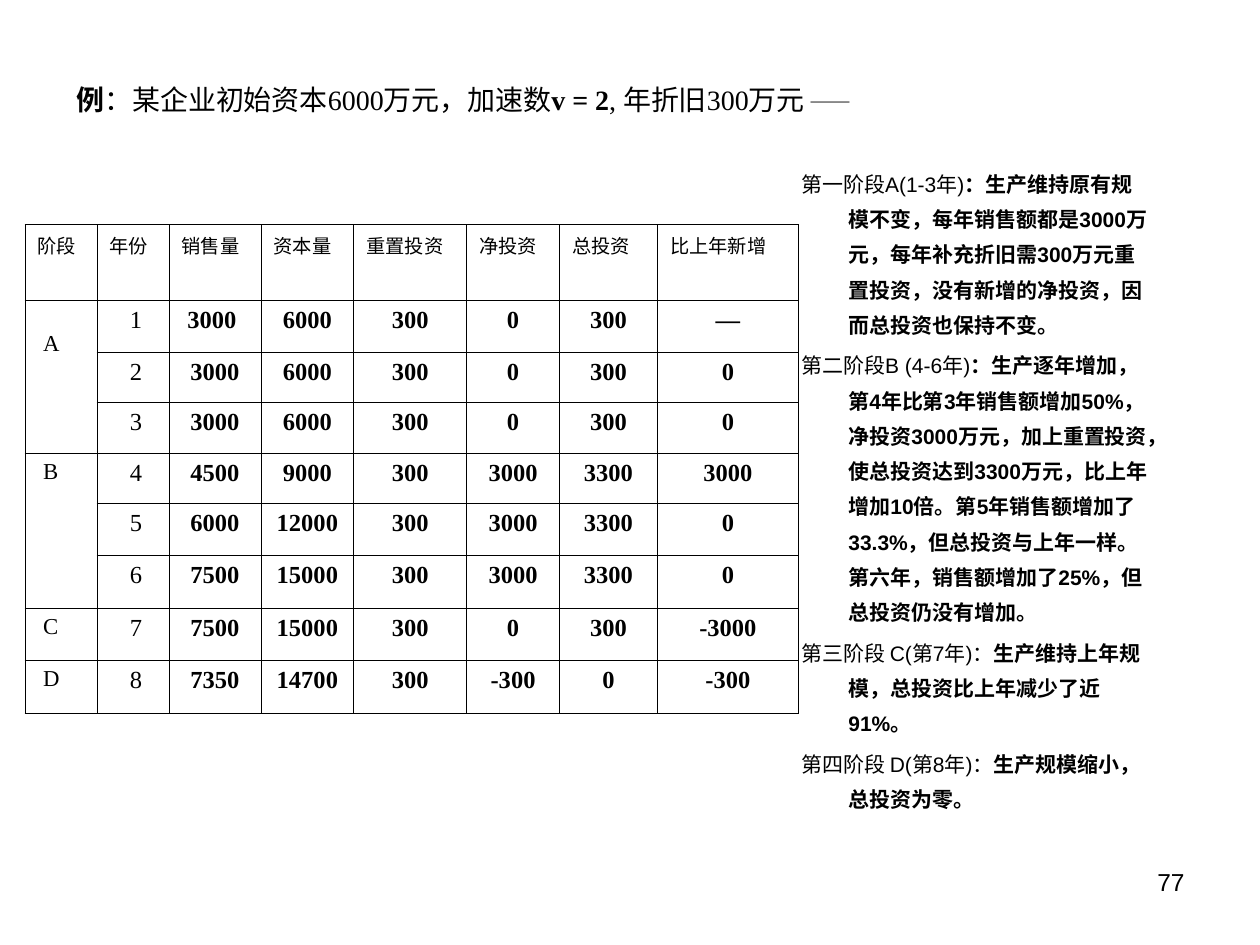
import pptx
import pptx.util
import pptx.dml.color
import pptx.enum.text
import lxml.etree

Pt = pptx.util.Pt
Align = pptx.enum.text.PP_ALIGN
Anchor = pptx.enum.text.MSO_ANCHOR
BLACK = pptx.dml.color.RGBColor(0, 0, 0)
SERIF, SANS = "Times New Roman", "Arial"

TITLE = [
    ("例", True, 16),
    ("：某企业初始资本6000万元，加速数", False, 16),
    ("v = 2", True, 16),
    (", 年折旧300万元", False, 16),
    (" ——", False, 12),
]
NOTES = [
    ("第一阶段A(1-3年)",
     "：生产维持原有规模不变，每年销售额都是3000万元，每年补充折旧需300万元重置投资，"
     "没有新增的净投资，因而总投资也保持不变。"),
    ("第二阶段B (4-6年)",
     "：生产逐年增加，第4年比第3年销售额增加50%，净投资3000万元，加上重置投资，"
     "使总投资达到3300万元，比上年增加10倍。第5年销售额增加了33.3%，但总投资与上年一样。"
     "第六年，销售额增加了25%，但总投资仍没有增加。"),
    ("第三阶段 C(第7年)：", "生产维持上年规模，总投资比上年减少了近91%。"),
    ("第四阶段 D(第8年)：", "生产规模缩小，总投资为零。"),
]
HEADS = ["阶段", "年份", "销售量", "资本量", "重置投资", "净投资", "总投资", "比上年新增"]
ROWS = [
    ("A", 1, 3000, 6000, 300, 0, 300, "—"),
    ("", 2, 3000, 6000, 300, 0, 300, 0),
    ("", 3, 3000, 6000, 300, 0, 300, 0),
    ("B", 4, 4500, 9000, 300, 3000, 3300, 3000),
    ("", 5, 6000, 12000, 300, 3000, 3300, 0),
    ("", 6, 7500, 15000, 300, 3000, 3300, 0),
    ("C", 7, 7500, 15000, 300, 0, 300, -3000),
    ("D", 8, 7350, 14700, 300, -300, 0, -300),
]
WIDTHS = [41.2, 41.2, 52.6, 53, 64.6, 53, 56, 80.6]
HEIGHTS = [43.4, 29.8, 28.6, 29, 28.8, 29.8, 30, 29.8, 30.2]
SPANS = [(1, 3), (4, 6)]


def style(font, name, size, bold=None):
    font.name = name
    font.size = Pt(size)
    font.bold = bold
    font.color.rgb = BLACK


def add_box(slide, *rect):
    box = slide.shapes.add_textbox(*map(Pt, rect))
    box.text_frame.word_wrap = True
    return box.text_frame


def add_run(para, text, bold):
    run = para.add_run()
    run.text = text
    run.font.bold = bold
    return run


def add_edges(cell):
    props = cell._tc.get_or_add_tcPr()
    space = "{" + props.nsmap["a"] + "}"
    for at, side in enumerate(("lnL", "lnR", "lnT", "lnB")):
        line = lxml.etree.Element(space + side, w=str(Pt(0.45)))
        fill = lxml.etree.SubElement(line, space + "solidFill")
        lxml.etree.SubElement(fill, space + "srgbClr", val=str(BLACK))
        props.insert(at, line)


def add_table(slide):
    frame = slide.shapes.add_table(
        len(HEIGHTS), len(WIDTHS), Pt(14.2), Pt(128.2),
        Pt(sum(WIDTHS)), Pt(sum(HEIGHTS)))
    table = frame.table
    table.first_row = table.horz_banding = False
    for col, width in zip(table.columns, WIDTHS):
        col.width = Pt(width)
    for row, height in zip(table.rows, HEIGHTS):
        row.height = Pt(height)
    for top, end in SPANS:
        table.cell(top, 0).merge(table.cell(end, 0))
    for r, row in enumerate([HEADS] + ROWS):
        for c, value in enumerate(row):
            cell = table.cell(r, c)
            cell.fill.background()
            add_edges(cell)
            para = cell.text_frame.paragraphs[0]
            para.text = str(value)
            if r == 0:
                style(para.font, SERIF, 11, False)
            elif c == 0:
                style(para.font, SERIF, 13, False)
                cell.margin_left = Pt(10.4)
            else:
                style(para.font, SERIF, 14, c > 1)
                para.alignment = Align.CENTER
                if c == 1:
                    cell.margin_left = Pt(10.7)
    table.cell(1, 0).margin_top = Pt(18)
    table.cell(1, 2).margin_right = Pt(10.7)


def main():
    deck = pptx.Presentation()
    deck.slide_width, deck.slide_height = Pt(720), Pt(540)
    slide = deck.slides.add_slide(deck.slide_layouts[6])

    page = add_box(slide, 516, 492, 168, 37.4).paragraphs[0]
    page.text = "77"
    page.alignment = Align.RIGHT
    style(page.font, SANS, 14)

    title = add_box(slide, 36.7, 31.7, 648, 49.7)
    title.vertical_anchor = Anchor.MIDDLE
    para = title.paragraphs[0]
    style(para.font, SERIF, 16)
    for text, bold, size in TITLE:
        add_run(para, text, bold).font.size = Pt(size)

    notes = add_box(slide, 450.7, 88.6, 215.3, 391)
    for at, (lead, body) in enumerate(NOTES):
        para = notes.add_paragraph() if at else notes.paragraphs[0]
        props = para._p.get_or_add_pPr()
        props.set("marL", str(Pt(27)))
        props.set("indent", str(-Pt(27)))
        para.line_spacing = 1.4
        para.space_before = Pt(3 if at else 0)
        style(para.font, SANS, 12)
        add_run(para, lead, False)
        add_run(para, body, True)

    add_table(slide)
    deck.save("out.pptx")


if __name__ == "__main__":
    main()
